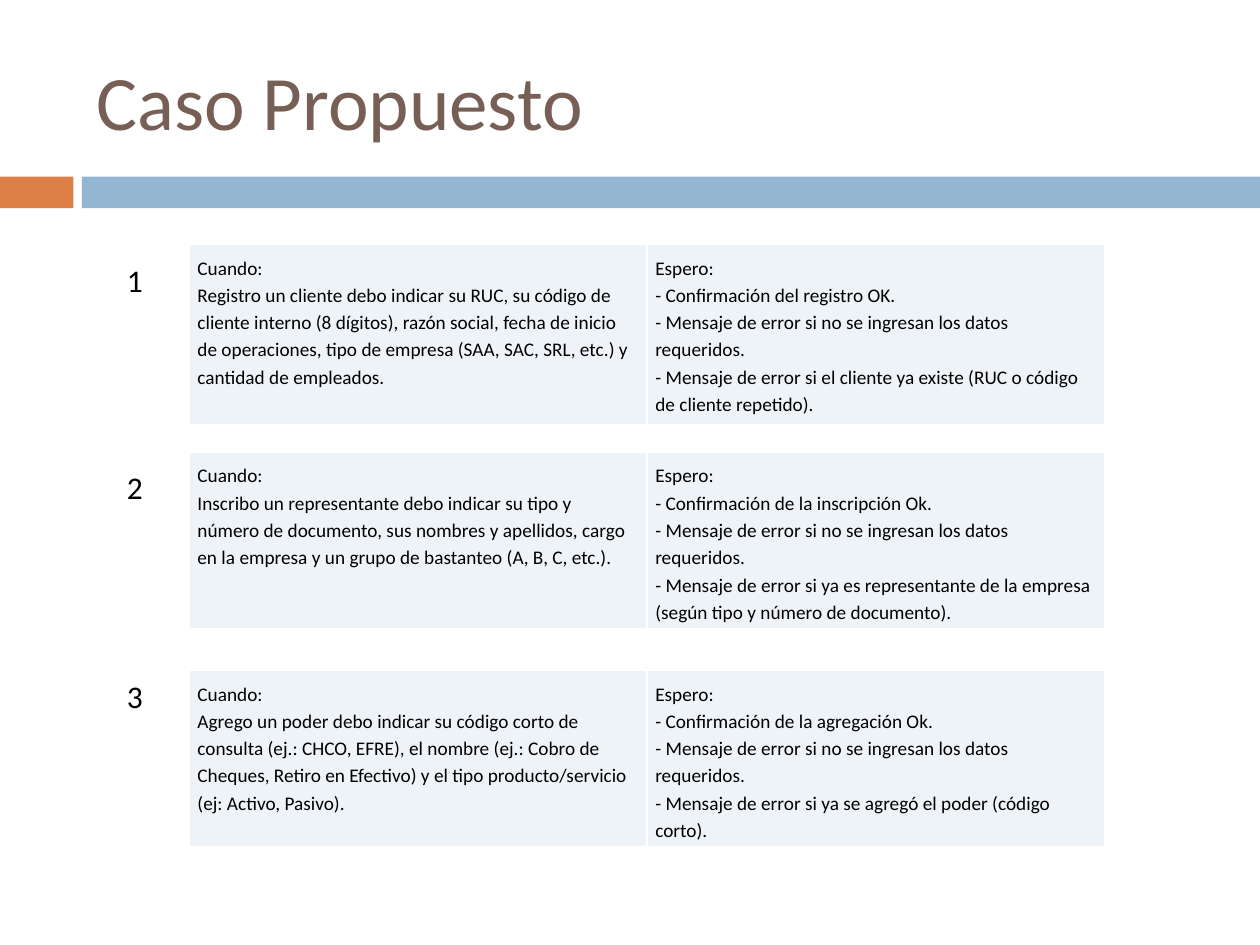
"""Build the "Caso Propuesto" slide: three numbered cases with their expected results."""
import lxml.etree
import pptx
import pptx.dml.color
import pptx.enum.shapes
import pptx.enum.text
import pptx.oxml.ns
import pptx.util
from pptx.util import Cm


def color(value):
    return pptx.dml.color.RGBColor.from_string(value)


def format_text(frame, size, hex_color, spacing=None):
    for para in frame.paragraphs:
        para.alignment = pptx.enum.text.PP_ALIGN.LEFT
        para.line_spacing = spacing
        for span in para.runs:
            span.font.name = "Calibri"
            span.font.size = pptx.util.Pt(size)
            span.font.color.rgb = color(hex_color)


REQUIRED = "- Mensaje de error si no se ingresan los datos requeridos."
CASES = [
    (4.93, 5.13,
     "Registro un cliente debo indicar su RUC, su código de cliente interno (8 dígitos), razón social, "
     "fecha de inicio de operaciones, tipo de empresa (SAA, SAC, SRL, etc.) y cantidad de empleados.",
     "- Confirmación del registro OK.",
     "- Mensaje de error si el cliente ya existe (RUC o código de cliente repetido)."),
    (9.12, 9.32,
     "Inscribo un representante debo indicar su tipo y número de documento, sus nombres y apellidos, "
     "cargo en la empresa y un grupo de bastanteo (A, B, C, etc.).",
     "- Confirmación de la inscripción Ok.",
     "- Mensaje de error si ya es representante de la empresa (según tipo y número de documento)."),
    (13.52, 13.52,
     "Agrego un poder debo indicar su código corto de consulta (ej.: CHCO, EFRE), el nombre "
     "(ej.: Cobro de Cheques, Retiro en Efectivo) y el tipo producto/servicio (ej: Activo, Pasivo).",
     "- Confirmación de la agregación Ok.",
     "- Mensaje de error si ya se agregó el poder (código corto)."),
]

deck = pptx.Presentation()
deck.slide_width, deck.slide_height = Cm(25.4), Cm(19.05)
page = deck.slides.add_slide(deck.slide_layouts[5])

for left, width, fill in [(0, 1.48, "DD8047"), (1.65, 23.75, "94B6D2")]:
    band = page.shapes.add_shape(pptx.enum.shapes.MSO_SHAPE.RECTANGLE,
                                 Cm(left), Cm(3.56), Cm(width), Cm(0.64))
    band.shadow.inherit = False
    band.fill.solid()
    band.fill.fore_color.rgb = color(fill)
    band.line.fill.background()

title = page.shapes.title
title.left, title.top, title.width, title.height = Cm(1.7), Cm(0.64), Cm(22.66), Cm(2.74)
title.text_frame.text = "Caso Propuesto"
title.text_frame.vertical_anchor = pptx.enum.text.MSO_ANCHOR.MIDDLE
format_text(title.text_frame, 44, "775F55")

for number, (table_top, number_top, action, confirmation, error) in enumerate(CASES, 1):
    table = page.shapes.add_table(1, 2, Cm(3.81), Cm(table_top), Cm(18.46), Cm(3.53)).table
    table.first_row = table.horz_banding = False
    texts = [["Cuando:", action], ["Espero:", confirmation, REQUIRED, error]]
    for cell, lines in zip(table.rows[0].cells, texts):
        cell.text_frame.text = "\n".join(lines)
        format_text(cell.text_frame, 11, "000000", 1.15)
        cell.margin_left = cell.margin_right = cell.margin_top = cell.margin_bottom = Cm(0.17)
        properties = cell._tc.get_or_add_tcPr()
        for side in ("lnL", "lnR", "lnT", "lnB"):
            border = lxml.etree.SubElement(properties, pptx.oxml.ns.qn(f"a:{side}"), w="12700")
            solid = lxml.etree.SubElement(border, pptx.oxml.ns.qn("a:solidFill"))
            lxml.etree.SubElement(solid, pptx.oxml.ns.qn("a:srgbClr"), val="FFFFFF")
        cell.fill.solid()
        cell.fill.fore_color.rgb = color("EEF3F7")

    box = page.shapes.add_textbox(Cm(2.31), Cm(number_top), Cm(0.86), Cm(1.02))
    box.text_frame.text = str(number)
    box.text_frame.word_wrap = False
    box.text_frame.auto_size = pptx.enum.text.MSO_AUTO_SIZE.SHAPE_TO_FIT_TEXT
    format_text(box.text_frame, 18, "000000")

deck.save("out.pptx")
